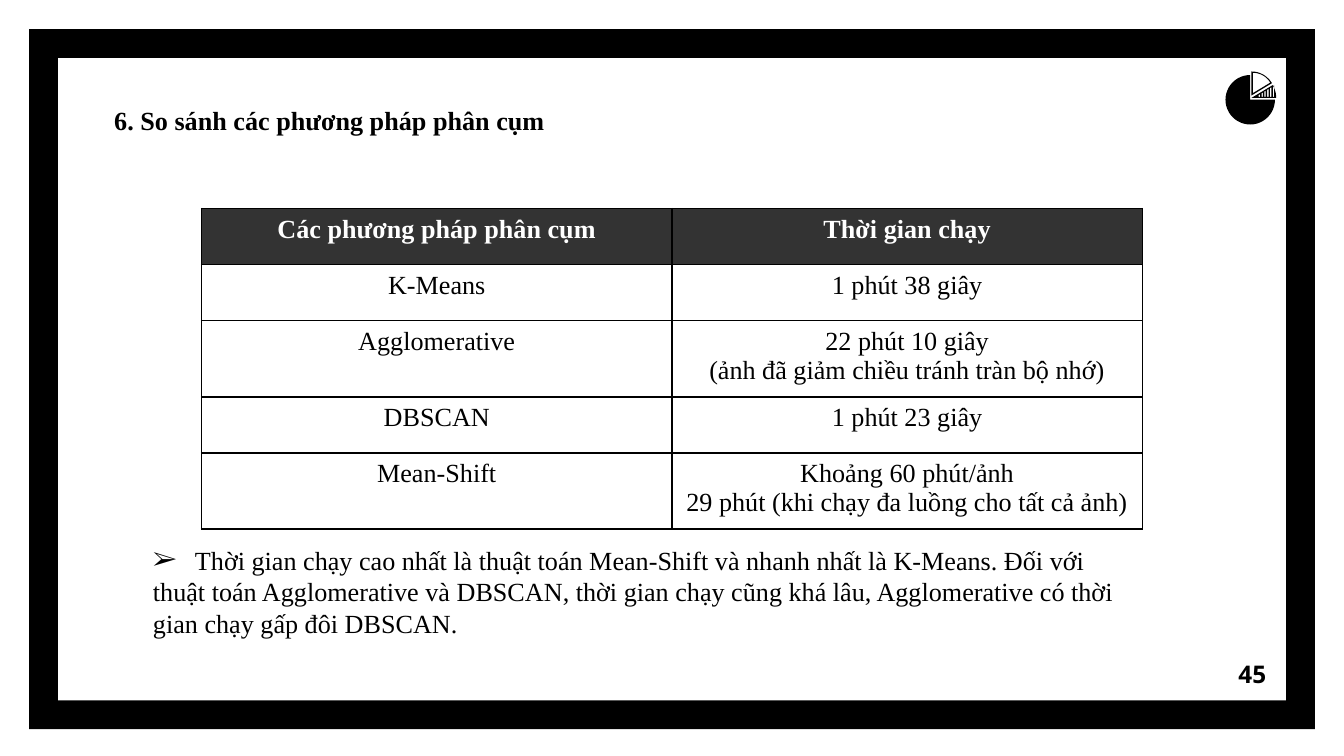
"""Build the slide that compares run times of clustering methods."""
from math import cos, radians, sin
from lxml import etree
from pptx import Presentation
from pptx.dml.color import RGBColor
from pptx.enum.shapes import MSO_SHAPE
from pptx.enum.text import MSO_ANCHOR, MSO_AUTO_SIZE, PP_ALIGN
from pptx.oxml.ns import qn
from pptx.util import Pt

FRAME, PIE = MSO_SHAPE.FRAME, MSO_SHAPE.PIE
TOP, MIDDLE = MSO_ANCHOR.TOP, MSO_ANCHOR.MIDDLE
LEFT, CENTER, RIGHT = PP_ALIGN.LEFT, PP_ALIGN.CENTER, PP_ALIGN.RIGHT
FIXED, GROW = MSO_AUTO_SIZE.NONE, MSO_AUTO_SIZE.SHAPE_TO_FIT_TEXT
HEX = {"ink": "000000", "head": "333333", "paper": "FFFFFF"}
RGB = {name: RGBColor.from_string(code) for name, code in HEX.items()}
BODY = {"name": "Times New Roman", "size": Pt(14), "bold": False}
BOLD = {**BODY, "bold": True}
PAGE = {"name": "Noto Sans", "size": Pt(13), "bold": True}


def write(frame, text, align, form, color="ink"):
    """Fill a text frame and format each run."""
    frame.text = text
    for para in frame.paragraphs:
        para.alignment = align
        for run in para.runs:
            for key, value in form.items():
                setattr(run.font, key, value)
            run.font.color.rgb = RGB[color]


def wedge(x, y, size, start, end):
    """Return the points of a pie slice."""
    turns = [radians(start + (end - start) * i / 12) for i in range(13)]
    arc = [(x + size * cos(a), y + size * sin(a)) for a in turns]
    return [(Pt(a), Pt(b)) for a, b in [(x, y), *arc]]


deck = Presentation()
deck.slide_width, deck.slide_height = Pt(720), Pt(405)
slide = deck.slides.add_slide(deck.slide_layouts[5])
shapes = slide.shapes
title = shapes.title

edge = shapes.add_shape(FRAME, Pt(15.6), Pt(15.6), Pt(688.8), Pt(375))
edge.adjustments[0] = 0.041
disc = shapes.add_shape(PIE, Pt(656.5), Pt(40.2), Pt(26.5), Pt(26.5))

bars = []
for i in range(6):
    x = 674.3 + 1.52 * i
    y = 53.4 - (x - 670.3) * 0.62
    box = [(x, y), (x + 0.75, y - 0.4), (x + 0.75, 52), (x, 52)]
    bars.append([(Pt(a), Pt(b)) for a, b in box])
parts = [
    [wedge(670.4, 52.5, 13.3, -31, 0), *bars],
    [wedge(670.4, 51.2, 12.9, -90, -31), wedge(671.2, 49.9, 10.9, -90, -31)],
]
solids = [edge, disc]
for rings in parts:
    pen = shapes.build_freeform(*rings[0][0], scale=1)
    pen.add_line_segments(rings[0][1:])
    for ring in rings[1:]:
        pen.move_to(*ring[0])
        pen.add_line_segments(ring[1:])
    solids.append(pen.convert_to_shape())
for solid in solids:
    solid.shadow.inherit = False
    solid.fill.solid()
    solid.fill.fore_color.rgb = RGB["ink"]
    solid.line.fill.background()

page = shapes.add_textbox(Pt(642.2), Pt(345.6), Pt(43.2), Pt(31))
page.text_frame.word_wrap = True
page.text_frame.vertical_anchor = MIDDLE
for side in ("left", "top", "right", "bottom"):
    setattr(page.text_frame, "margin_" + side, Pt(7.2))
write(page.text_frame, "45", RIGHT, PAGE)

spot = {"left": 54, "top": 52.4, "width": 595.4, "height": 41}
for key, value in spot.items():
    setattr(title, key, Pt(value))
title.text_frame.vertical_anchor = TOP
title.text_frame.auto_size = FIXED
write(title.text_frame, "6. So sánh các phương pháp phân cụm", LEFT, BOLD)

rows = [
    ("Các phương pháp phân cụm", "Thời gian chạy"),
    ("K-Means", "1 phút 38 giây"),
    ("Agglomerative", "22 phút 10 giây\n(ảnh đã giảm chiều tránh tràn bộ nhớ)"),
    ("DBSCAN", "1 phút 23 giây"),
    ("Mean-Shift", "Khoảng 60 phút/ảnh\n29 phút (khi chạy đa luồng cho tất cả ảnh)"),
]
table = shapes.add_table(5, 2, Pt(108), Pt(111.8), Pt(504), Pt(172)).table
for r, row in enumerate(rows):
    table.rows[r].height = Pt(40.8 if "\n" in row[1] else 30)
    form, ink, fill = (BODY, "ink", "paper") if r else (BOLD, "paper", "head")
    for c, text in enumerate(row):
        cell = table.cell(r, c)
        write(cell.text_frame, text, CENTER, form, ink)
        props = cell._tc.get_or_add_tcPr()
        for tag in ("a:lnL", "a:lnR", "a:lnT", "a:lnB"):
            line = etree.SubElement(props, qn(tag), w=str(Pt(1)))
            paint = etree.SubElement(line, qn("a:solidFill"))
            etree.SubElement(paint, qn("a:srgbClr"), val=HEX["ink"])
        cell.fill.solid()
        cell.fill.fore_color.rgb = RGB[fill]

note = shapes.add_textbox(Pt(74.9), Pt(288), Pt(545), Pt(58.3)).text_frame
note.word_wrap = True
note.auto_size = GROW
lines = [
    "Thời gian chạy cao nhất là thuật toán Mean-Shift và nhanh nhất là K-Means. Đối với",
    "thuật toán Agglomerative và DBSCAN, thời gian chạy cũng khá lâu, Agglomerative có thời",
    "gian chạy gấp đôi DBSCAN.",
]
write(note, "\n".join(lines), LEFT, BODY)
props = note.paragraphs[0]._p.get_or_add_pPr()
props.set("marL", str(Pt(22.5)))
props.set("indent", str(-Pt(22.5)))
tint = etree.SubElement(props, qn("a:buClr"))
etree.SubElement(tint, qn("a:srgbClr"), val=HEX["ink"])
etree.SubElement(props, qn("a:buFont"), typeface=BODY["name"])
etree.SubElement(props, qn("a:buChar"), char="➢")

deck.save("out.pptx")
